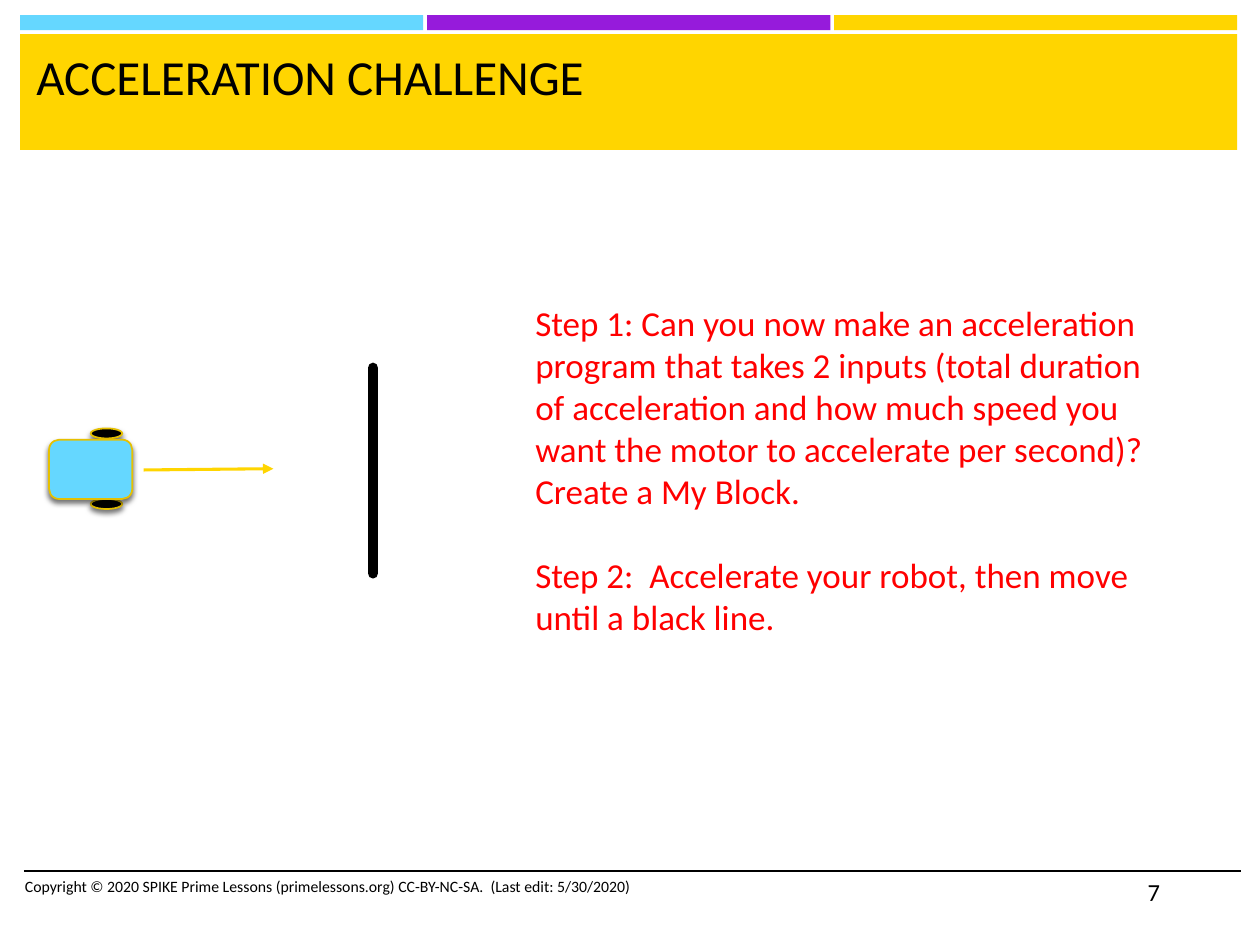
from dataclasses import dataclass

from lxml import etree
from pptx import Presentation
from pptx.dml.color import RGBColor
from pptx.enum.shapes import MSO_CONNECTOR as Link, MSO_SHAPE as Form
from pptx.enum.text import MSO_ANCHOR as Anchor
from pptx.oxml import parse_xml
from pptx.oxml.ns import nsdecls, qn
from pptx.util import Inches, Pt


@dataclass(frozen=True)
class Theme:
    font: str = "Calibri"
    black: str = "000000"
    blue: str = "65D7FF"
    purple: str = "961BDB"
    yellow: str = "FFD500"
    gold: str = "E6C000"
    red: str = "FF0000"
    title: int = 28
    body: int = 20
    page: int = 14
    note: int = 9


THEME = Theme()


def color(code):
    return RGBColor.from_string(code)


def add_text(slide, text, box, size, ink=THEME.black, gap=0):
    """Write one paragraph per line of text, gap points apart."""
    frame = slide.shapes.add_textbox(*map(Inches, box)).text_frame
    frame.word_wrap = True
    frame.vertical_anchor = Anchor.TOP
    frame.text = text
    for index, para in enumerate(frame.paragraphs):
        para.space_before = Pt(gap if index else 0)
        para.font.name = THEME.font
        para.font.size = Pt(size)
        para.font.color.rgb = color(ink)


def add_form(slide, form, box, fill, edge=None):
    shape = slide.shapes.add_shape(form, *map(Inches, box))
    shape.shadow.inherit = False
    shape.fill.solid()
    shape.fill.fore_color.rgb = color(fill)
    if edge:
        shape.line.color.rgb = color(edge)
        shape.line.width = Pt(1)
    else:
        shape.line.fill.background()
    return shape


def add_shadow(shape):
    effects = shape._element.spPr.find(qn("a:effectLst"))
    effects.append(parse_xml(
        f'<a:outerShdw {nsdecls("a")} blurRad="{Pt(3)}" dist="{Pt(2)}" '
        f'dir="5400000" algn="ctr" rotWithShape="0">'
        f'<a:srgbClr val="{THEME.black}"><a:alpha val="55000"/></a:srgbClr>'
        f'</a:outerShdw>'))


def add_line(slide, start, end, ink, width, arrow=False, cap="flat"):
    line = slide.shapes.add_connector(
        Link.STRAIGHT, *map(Inches, (*start, *end)))
    line.line.color.rgb = color(ink)
    line.line.width = Pt(width)
    pen = line.line._get_or_add_ln()
    pen.set("cap", cap)
    if arrow:
        etree.SubElement(pen, qn("a:tailEnd"), type="triangle")
    etree.SubElement(line._element.spPr, qn("a:effectLst"))


def add_header(slide):
    for index, fill in enumerate((THEME.blue, THEME.purple, THEME.yellow)):
        left = 0.16 + 3.23 * index
        add_form(slide, Form.RECTANGLE, (left, 0.12, 3.2, 0.12), fill)
    add_form(slide, Form.RECTANGLE, (0.16, 0.27, 9.66, 0.92), THEME.yellow)
    add_text(slide, "ACCELERATION CHALLENGE", (0.19, 0.32, 9.57, 0.82),
             THEME.title)


def add_footer(slide):
    add_line(slide, (0.19, 6.91), (9.85, 6.91), THEME.black, 1)
    add_text(slide, "Copyright © 2020 SPIKE Prime Lessons (primelessons.org) "
             "CC-BY-NC-SA.  (Last edit: 5/30/2020)",
             (0.1, 6.91, 5.33, 0.4), THEME.note)
    add_text(slide, "7", (9.01, 6.91, 0.84, 0.4), THEME.page)


def add_robot(slide):
    """Draw two wheels under a rounded body."""
    parts = (
        (Form.OVAL, (0.72, 3.96, 0.25, 0.08), THEME.black),
        (Form.OVAL, (0.72, 3.4, 0.25, 0.08), THEME.black),
        (Form.ROUNDED_RECTANGLE, (0.39, 3.49, 0.66, 0.47), THEME.blue),
    )
    for form, box, fill in parts:
        add_shadow(add_form(slide, form, box, fill, edge=THEME.gold))


def main():
    deck = Presentation()
    deck.slide_width, deck.slide_height = Inches(10), Inches(7.5)
    slide = deck.slides.add_slide(deck.slide_layouts[6])
    add_header(slide)
    add_text(slide,
             "Step 1: Can you now make an acceleration program that takes 2 "
             "inputs (total duration of acceleration and how much speed you "
             "want the motor to accelerate per second)?  Create a My Block.\n"
             "Step 2:  Accelerate your robot, then move until a black line.",
             (4.15, 2.34, 5.16, 2.79), THEME.body, ink=THEME.red, gap=24)
    add_line(slide, (2.96, 4.55), (2.96, 2.92), THEME.black, 6, cap="rnd")
    add_robot(slide)
    add_line(slide, (1.14, 3.73), (2.17, 3.72), THEME.yellow, 1.75,
             arrow=True)
    add_footer(slide)
    deck.save("out.pptx")


if __name__ == "__main__":
    main()
